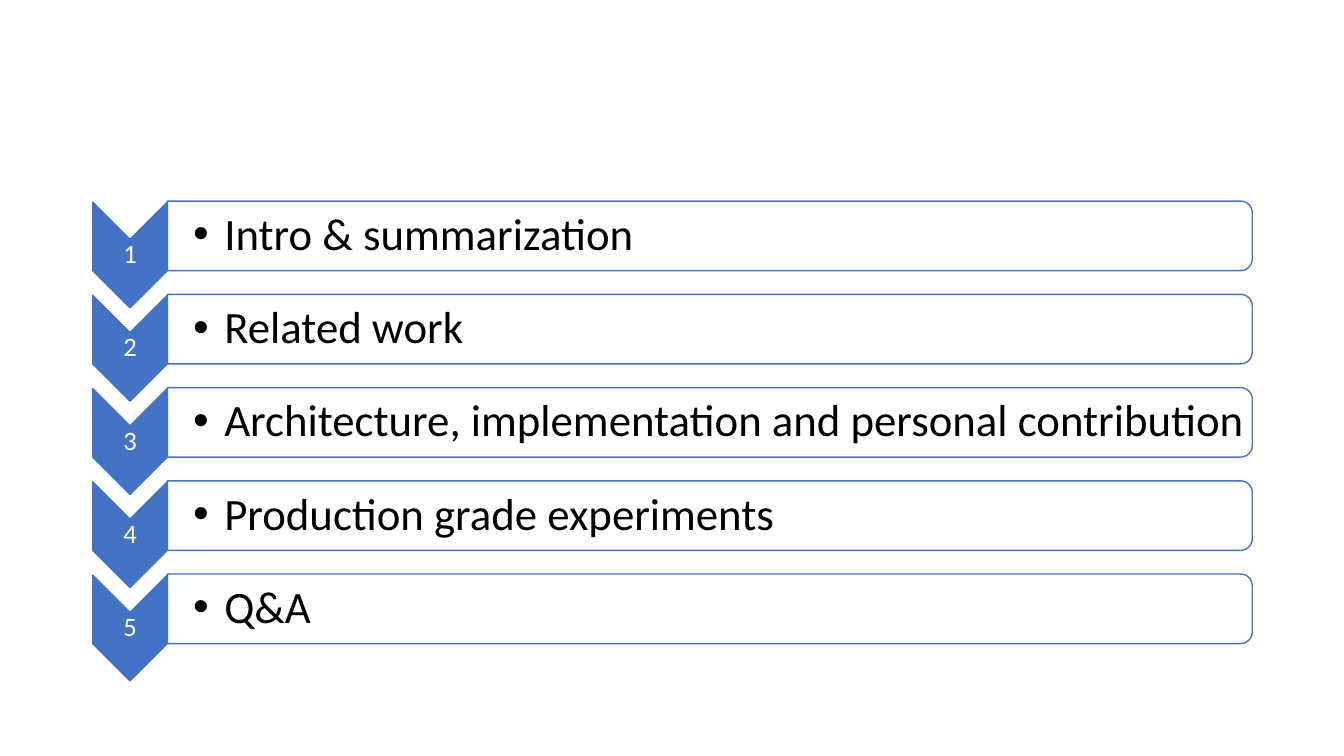
"""Build the agenda slide: five numbered chevrons, each leading into a topic bar."""
import dataclasses

import pptx
import pptx.dml.color
import pptx.enum.shapes
import pptx.enum.text
import pptx.oxml.ns
import pptx.shapes.autoshape
import pptx.slide
import pptx.util
from lxml import etree

Inches = pptx.util.Inches
Kind = pptx.enum.shapes.MSO_SHAPE
Align = pptx.enum.text.PP_ALIGN

COLORS = {"accent": "4472C4", "bar": "FFFFFF", "number": "FFFFFF", "topic": "000000"}
FONT = "Calibri"
TOPICS = [
    "Intro & summarization",
    "Related work",
    "Architecture, implementation and personal contribution",
    "Production grade experiments",
    "Q&A",
]
FIRST_BAR, LAST_BAR = 2.34, 6.04
PITCH = (LAST_BAR - FIRST_BAR) / (len(TOPICS) - 1)
CHEVRON_DROP = 0.19


@dataclasses.dataclass
class Frame:
    """A box given by its centre and size in inches."""

    x: float
    y: float
    width: float
    height: float

    def bounds(self) -> tuple[int, int, int, int]:
        """Return left, top, width and height as lengths."""
        return (Inches(self.x - self.width / 2), Inches(self.y - self.height / 2),
                Inches(self.width), Inches(self.height))


def color(name: str) -> pptx.dml.color.RGBColor:
    """Look up a named colour."""
    return pptx.dml.color.RGBColor.from_string(COLORS[name])


def add_turned_shape(page: pptx.slide.Slide, kind: Kind, frame: Frame,
                     fill: str) -> pptx.shapes.autoshape.Shape:
    """Draw an outlined shape turned a quarter clockwise."""
    shape = page.shapes.add_shape(kind, *frame.bounds())
    shape.rotation = 90
    shape.shadow.inherit = False
    shape.fill.solid()
    shape.fill.fore_color.rgb = color(fill)
    shape.line.color.rgb = color("accent")
    shape.line.width = pptx.util.Pt(1)
    return shape


def set_opacity(shape: pptx.shapes.autoshape.Shape, percent: int) -> None:
    """Make the solid fill of a shape partly transparent."""
    tint = shape.fill._xPr.find(".//" + pptx.oxml.ns.qn("a:srgbClr"))
    etree.SubElement(tint, pptx.oxml.ns.qn("a:alpha"), val=str(percent * 1000))


def add_text(page: pptx.slide.Slide, text: str, frame: Frame, *, size: int, ink: str,
             align: Align = Align.LEFT, inset: float = 0.01, left_inset: float = 0.01,
             bullet_indent: float = 0) -> None:
    """Write one vertically centred paragraph, bulleted if it has an indent."""
    box = page.shapes.add_textbox(*frame.bounds())
    body = box.text_frame
    body.word_wrap = True
    body.vertical_anchor = pptx.enum.text.MSO_ANCHOR.MIDDLE
    body.margin_left = Inches(left_inset)
    body.margin_top = body.margin_right = body.margin_bottom = Inches(inset)
    para = body.paragraphs[0]
    para.alignment = align
    para.line_spacing = 0.9
    span = para.add_run()
    span.text = text
    span.font.name = FONT
    span.font.size = pptx.util.Pt(size)
    span.font.color.rgb = color(ink)
    if bullet_indent:
        settings = para._p.get_or_add_pPr()
        settings.set("marL", str(Inches(bullet_indent)))
        settings.set("indent", str(-Inches(bullet_indent)))
        etree.SubElement(settings, pptx.oxml.ns.qn("a:buFont"), typeface="Arial")
        etree.SubElement(settings, pptx.oxml.ns.qn("a:buChar"), char="•")


def add_topic(page: pptx.slide.Slide, number: int, topic: str) -> None:
    """Draw one agenda row."""
    bar_y = FIRST_BAR + (number - 1) * PITCH
    chevron_y = bar_y + CHEVRON_DROP
    add_turned_shape(page, Kind.CHEVRON, Frame(1.29, chevron_y, 1.05, 0.74), "accent")
    add_text(page, str(number), Frame(1.29, chevron_y, 0.74, 0.32),
             size=19, ink="number", align=Align.CENTER)
    bar = add_turned_shape(page, Kind.ROUND_2_SAME_RECTANGLE,
                           Frame(7.04, bar_y, 0.69, 10.76), "bar")
    set_opacity(bar, 90)
    add_text(page, topic, Frame(7.03, bar_y, 10.73, 0.62), size=32, ink="topic",
             inset=0.02, left_inset=0.25, bullet_indent=0.31)


def main() -> None:
    """Create the deck and save it."""
    deck = pptx.Presentation()
    deck.slide_width, deck.slide_height = Inches(13.33), Inches(7.5)
    page = deck.slides.add_slide(deck.slide_layouts[6])
    for number, topic in enumerate(TOPICS, start=1):
        add_topic(page, number, topic)
    deck.save("out.pptx")


main()
